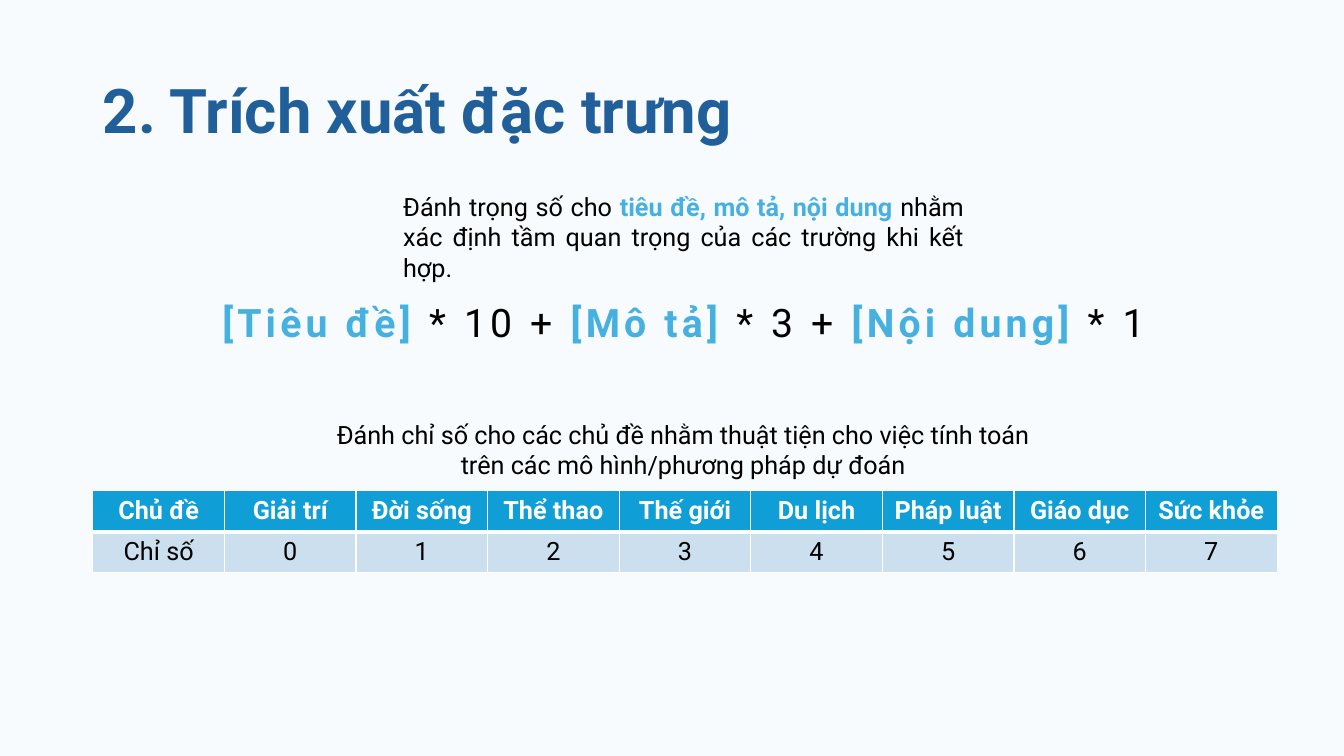
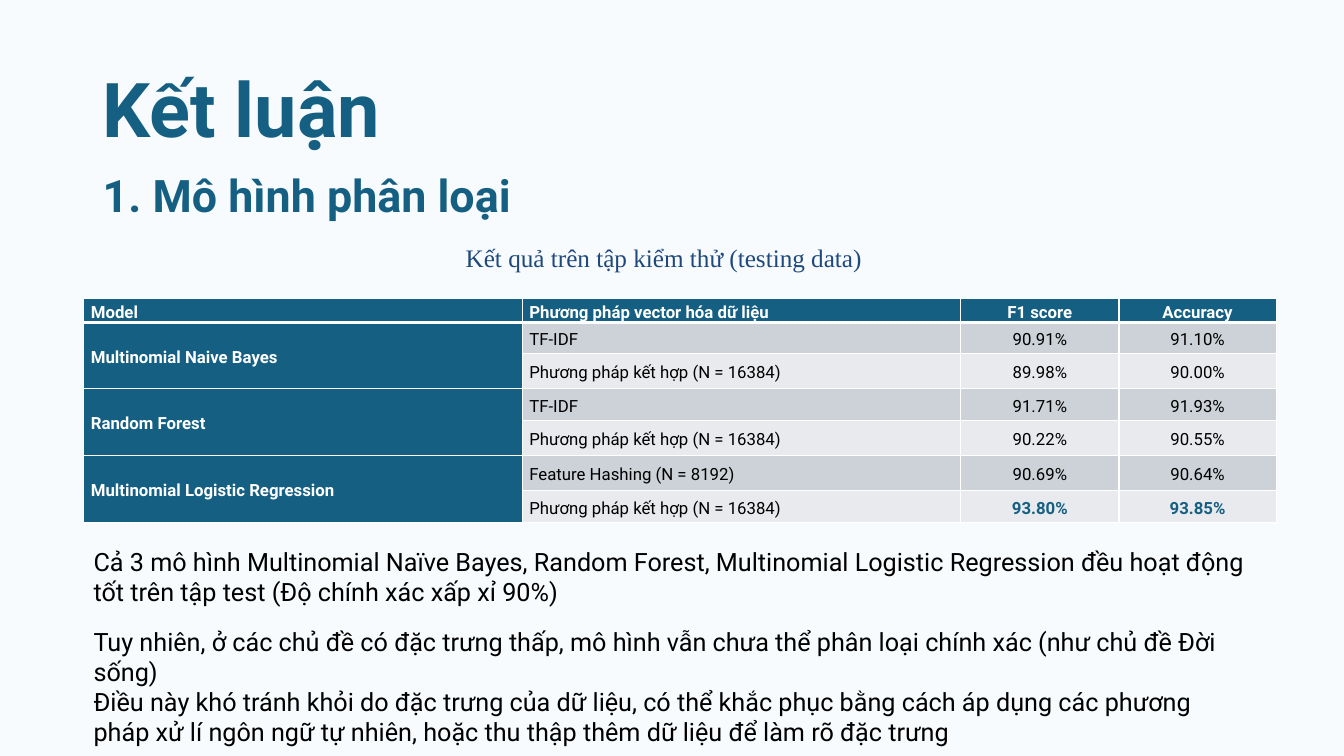
from lxml import etree
from pptx import Presentation
from pptx.dml.color import RGBColor
from pptx.enum.text import MSO_ANCHOR as Anchor, PP_ALIGN as Align
from pptx.oxml.ns import qn
from pptx.util import Cm, Pt

COLORS = {
    "background": "F8FBFD",
    "black": "000000",
    "white": "FFFFFF",
    "title": "215F9A",
    "highlight": "46B1E1",
    "topic_header": "0F9ED5",
    "topic_row": "CCDFEF",
    "teal": "156082",
    "band_dark": "CCD2D8",
    "band_light": "E8EAED",
    "caption": "1F497D",
}
FONT = "Roboto"
LEFT = 2.34

TOPICS = ["Giải trí", "Đời sống", "Thể thao", "Thế giới",
          "Du lịch", "Pháp luật", "Giáo dục", "Sức khỏe"]

SCORE_HEADER = ["Model", "Phương pháp vector hóa dữ liệu", "F1 score", "Accuracy"]
COMBINED = "Phương pháp kết hợp (N = 16384)"
SCORES = [
    ["Multinomial Naive Bayes", "TF-IDF", "90.91%", "91.10%"],
    ["", COMBINED, "89.98%", "90.00%"],
    ["Random Forest", "TF-IDF", "91.71%", "91.93%"],
    ["", COMBINED, "90.22%", "90.55%"],
    ["Multinomial Logistic Regression", "Feature Hashing (N = 8192)", "90.69%", "90.64%"],
    ["", COMBINED, "93.80%", "93.85%"],
]


def rgb(name):
    return RGBColor.from_string(COLORS[name])


def add_run(paragraph, text, size, color="black", bold=False, font=FONT, spacing=0):
    """Add one run; spacing is the gap between letters in points."""
    run = paragraph.add_run()
    run.text = text
    run.font.size = Pt(size)
    run.font.name = font
    run.font.bold = bold
    run.font.color.rgb = rgb(color)
    if spacing:
        run._r.get_or_add_rPr().set("spc", str(spacing * 100))


def add_text(slide, box, paragraphs, size, align=Align.LEFT, wrap=True,
             anchor=Anchor.TOP, line_spacing=None, **run_style):
    """Add a text box; each paragraph is a list of (text, color, bold) runs."""
    frame = slide.shapes.add_textbox(*map(Cm, box)).text_frame
    frame.word_wrap = wrap
    frame.vertical_anchor = anchor
    for index, runs in enumerate(paragraphs):
        paragraph = frame.add_paragraph() if index else frame.paragraphs[0]
        paragraph.alignment = align
        if line_spacing:
            paragraph.line_spacing = line_spacing
        for text, color, bold in runs:
            add_run(paragraph, text, size, color, bold, **run_style)


def add_title(slide, text, size, color):
    add_text(slide, (LEFT, 1.02, 29.21, 3.68), [[(text, color, True)]], size,
             anchor=Anchor.MIDDLE, line_spacing=0.9)


def add_slide(presentation):
    slide = presentation.slides.add_slide(presentation.slide_layouts[6])
    fill = slide.background.fill
    fill.solid()
    fill.fore_color.rgb = rgb("background")
    return slide


def set_borders(cell, bottom):
    """Draw white 1 pt borders, with the bottom one of the given width."""
    properties = cell._tc.get_or_add_tcPr()
    for side, width in (("L", 1), ("R", 1), ("T", 1), ("B", bottom)):
        line = etree.SubElement(properties, qn(f"a:ln{side}"), w=str(Pt(width)))
        fill = etree.SubElement(line, qn("a:solidFill"))
        etree.SubElement(fill, qn("a:srgbClr"), val=COLORS["white"])


def add_table(slide, left, top, widths, heights):
    shape = slide.shapes.add_table(len(heights), len(widths), Cm(left), Cm(top),
                                   Cm(sum(widths)), Cm(sum(heights)))
    table = shape.table
    for column, width in zip(table.columns, widths):
        column.width = Cm(width)
    for row, height in zip(table.rows, heights):
        row.height = Cm(height)
    table.horz_banding = False
    return table


def fill_cell(cell, text, size, fill, color="black", bold=False,
              align=Align.CENTER, bottom=1, line_spacing=None):
    set_borders(cell, bottom)
    cell.fill.solid()
    cell.fill.fore_color.rgb = rgb(fill)
    cell.vertical_anchor = Anchor.MIDDLE
    paragraph = cell.text_frame.paragraphs[0]
    paragraph.alignment = align
    if line_spacing:
        paragraph.line_spacing = line_spacing
    if text:
        add_run(paragraph, text, size, color, bold)


def add_topic_table(slide):
    header = ["Chủ đề", *TOPICS]
    indices = ["Chỉ số", *map(str, range(len(TOPICS)))]
    table = add_table(slide, LEFT, 12.37, [29.85 / len(header)] * len(header), [1.03] * 2)
    for column, (topic, index) in enumerate(zip(header, indices)):
        fill_cell(table.cell(0, column), topic, 18, "topic_header", "white", True, bottom=3)
        fill_cell(table.cell(1, column), index, 18, "topic_row")


def add_score_table(slide):
    table = add_table(slide, 2.11, 7.52, [11.05, 11.05, 3.99, 3.96],
                      [0.6, 0.77, 0.89, 0.81, 0.87, 0.89, 0.81])
    for row, values in enumerate([SCORE_HEADER, *SCORES]):
        for column, text in enumerate(values):
            cell = table.cell(row, column)
            cell.margin_left = cell.margin_right = Cm(0.18)
            cell.margin_top = cell.margin_bottom = 0
            is_heading = row == 0 or column == 0
            is_best = row == len(SCORES) and column >= 2
            if is_heading:
                fill, color = "teal", "white"
            else:
                fill = "band_dark" if row % 2 else "band_light"
                color = "teal" if is_best else "black"
            fill_cell(cell, text, 12, fill, color, is_heading or is_best,
                      Align.CENTER if column >= 2 else Align.LEFT,
                      bottom=1 if row else 3, line_spacing=1.2)
    for row in range(1, len(SCORES), 2):
        table.cell(row, 0).merge(table.cell(row + 1, 0))


def build_feature_slide(presentation):
    slide = add_slide(presentation)
    add_title(slide, "2. Trích xuất đặc trưng", 44, "title")
    add_text(slide, (9.91, 4.7, 14.63, 1.8), [[
        ("Đánh trọng số cho ", "black", False),
        ("tiêu đề, mô tả, nội dung ", "highlight", True),
        ("nhằm xác định tầm quan trọng của các trường khi kết hợp.", "black", False),
    ]], 18, Align.JUSTIFY)
    add_text(slide, (5.11, 7.39, 24.23, 1.45), [[
        ("[Tiêu đề] ", "highlight", True),
        ("* 10 + ", "black", False),
        ("[Mô tả] ", "highlight", True),
        ("* 3 + ", "black", False),
        ("[Nội dung] ", "highlight", True),
        ("* 1", "black", False),
    ]], 28, Align.CENTER, spacing=3)
    add_topic_table(slide)
    add_text(slide, (8.1, 10.44, 18.24, 1.8), [[
        ("Đánh chỉ số cho các chủ đề nhằm thuật tiện cho việc tính toán "
         "trên các mô hình/phương pháp dự đoán", "black", False),
    ]], 18, Align.CENTER)


def build_conclusion_slide(presentation):
    slide = add_slide(presentation)
    add_title(slide, "Kết luận", 54, "teal")
    add_text(slide, (LEFT, 4.09, 10.82, 1.63),
             [[("1. Mô hình phân loại", "teal", True)]], 32, wrap=False)
    add_text(slide, (8.26, 5.97, 16.94, 1.02),
             [[("Kết quả trên tập kiểm thử (testing data)", "caption", False)]],
             18, Align.CENTER, font="Times New Roman")
    add_score_table(slide)
    add_text(slide, (2.11, 13.64, 30.07, 1.8), [[
        ("Cả 3 mô hình Multinomial Naïve Bayes, Random Forest, Multinomial Logistic "
         "Regression đều hoạt động tốt trên tập test (Độ chính xác xấp xỉ 90%)",
         "black", False),
    ]], 18)
    add_text(slide, (2.11, 15.65, 29.64, 2.57), [
        [("Tuy nhiên, ở các chủ đề có đặc trưng thấp, mô hình vẫn chưa thể phân loại "
          "chính xác (như chủ đề Đời sống)", "black", False)],
        [("Điều này khó tránh khỏi do đặc trưng của dữ liệu, có thể khắc phục bằng cách "
          "áp dụng các phương pháp xử lí ngôn ngữ tự nhiên, hoặc thu thập thêm dữ liệu "
          "để làm rõ đặc trưng", "black", False)],
    ], 18)


def main():
    presentation = Presentation()
    presentation.slide_width = Cm(33.87)
    presentation.slide_height = Cm(19.05)
    build_feature_slide(presentation)
    build_conclusion_slide(presentation)
    presentation.save("out.pptx")


if __name__ == "__main__":
    main()
